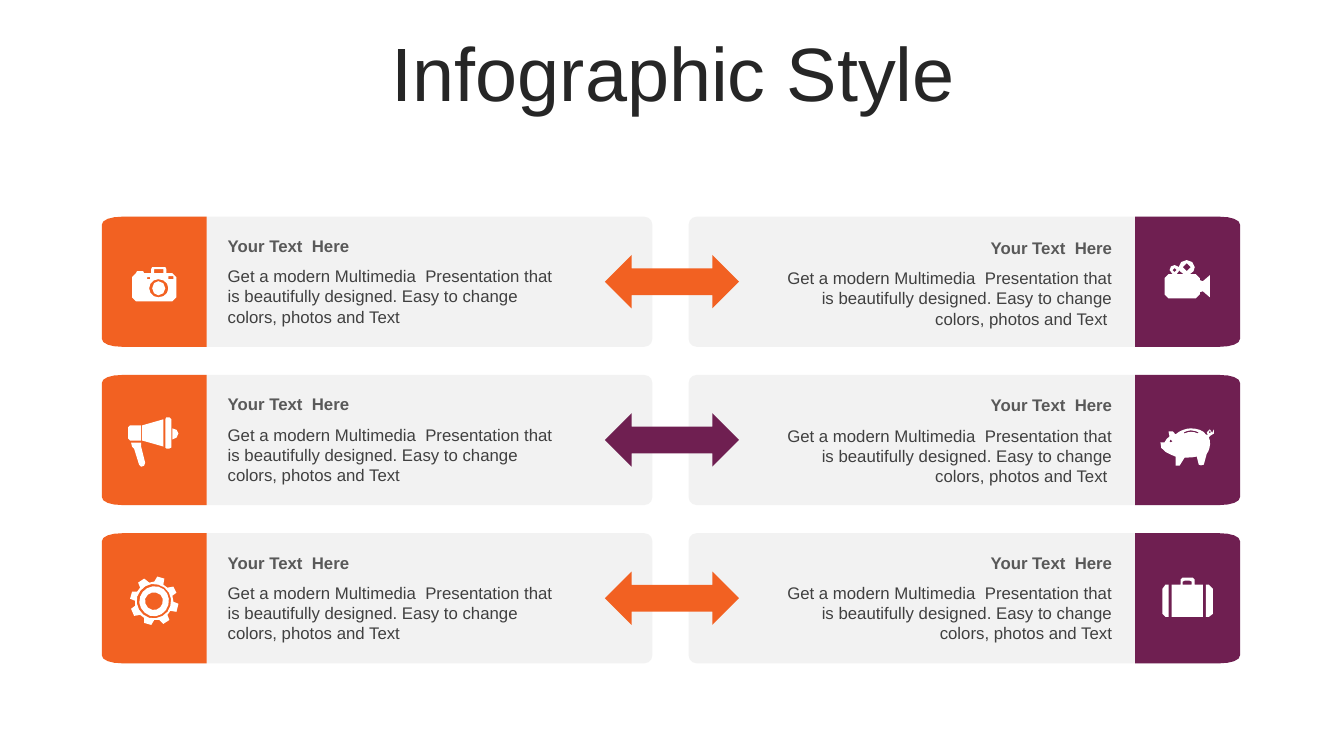
from math import ceil

from pptx import Presentation
from pptx.dml.color import RGBColor
from pptx.enum.shapes import MSO_SHAPE
from pptx.enum.text import MSO_ANCHOR, MSO_AUTO_SIZE, PP_ALIGN
from pptx.util import Pt

PX = 9144
LEFT, CENTER, RIGHT = PP_ALIGN.LEFT, PP_ALIGN.CENTER, PP_ALIGN.RIGHT
MIDDLE = MSO_ANCHOR.MIDDLE
NO_FIT, GROW = MSO_AUTO_SIZE.NONE, MSO_AUTO_SIZE.SHAPE_TO_FIT_TEXT
ROUNDED, DOUBLE_ARROW = MSO_SHAPE.ROUNDED_RECTANGLE, MSO_SHAPE.LEFT_RIGHT_ARROW

ORANGE, PURPLE, GREY, WHITE = "F26122", "6F1F51", "F2F2F2", "FFFFFF"
HEADING = "Your Text  Here"
BODY = ("Get a modern Multimedia  Presentation that is beautifully designed. "
        "Easy to change colors, photos and Text")

ROW_TOP, ROW_PITCH, ROW_HEIGHT = 215, 157, 129
TILE_WIDTH, CARD_WIDTH = 104, 535
TILE = ("M 0 121 L 0 8 C 0 3 9 0 20 0 L 104 0 L 104 129 L 20 129 "
        "C 9 129 0 126 0 121 Z")

CAMERA = (
    "M 57 79 C 61 79 64 82 64 86 C 64 90 61 93 57 93 C 54 93 51 90 51 86 "
    "C 51 82 54 79 57 79 Z M 57 77 C 52 77 48 81 48 86 C 48 91 52 95 57 95 "
    "C 63 95 67 91 67 86 C 67 81 63 77 57 77 Z M 46 75 L 46 77 L 49 77 L 49 75 Z "
    "M 67 74 L 67 77 L 72 77 L 72 74 Z M 53 67 L 53 71 L 62 71 L 62 67 Z "
    "M 51 65 L 64 65 L 65 67 L 65 71 L 71 71 C 73 71 75 73 75 75 "
    "L 75 95 C 75 97 73 99 71 99 L 35 99 C 33 99 31 97 31 95 L 31 75 "
    "C 31 73 33 71 35 71 L 36 69 L 42 69 L 43 71 L 50 71 L 50 67 L 51 65 Z")
MEGAPHONE = (
    "M 40 39 L 40 43 L 44 59 L 43 62 L 40 63 L 38 61 L 33 45 L 31 43 L 30 39 Z "
    "M 71 25 C 74 25 77 27 77 30 C 77 33 74 36 71 36 Z "
    "M 29 22 L 40 22 L 40 37 L 29 37 L 27 35 L 27 24 L 29 22 Z "
    "M 62 16 L 62 43 L 41 37 L 41 22 Z "
    "M 65 14 L 68 14 L 70 16 L 70 44 L 68 45 L 65 45 L 64 44 L 64 16 Z")
GEAR = (
    "M 55 88 C 50 87 46 89 44 94 C 43 99 46 104 51 105 C 55 106 60 103 61 99 "
    "C 63 94 60 89 55 88 Z M 57 82 C 65 84 69 92 67 100 C 65 108 57 113 49 111 "
    "C 41 108 36 100 39 92 C 41 85 49 80 57 82 Z M 57 80 C 48 77 39 83 36 92 "
    "C 34 101 39 110 48 113 C 57 115 67 110 69 101 C 72 92 66 82 57 80 Z "
    "M 63 74 L 62 80 L 66 83 L 72 82 L 75 88 L 71 91 L 72 97 L 77 99 L 75 107 "
    "L 69 106 L 66 110 L 68 115 L 62 119 L 58 115 L 53 115 L 50 120 L 43 118 "
    "L 43 113 L 39 110 L 33 111 L 30 104 L 34 101 L 34 96 L 29 94 L 31 87 L 36 87 "
    "L 39 83 L 37 78 L 43 74 L 48 78 L 53 77 L 56 72 Z")
VIDEO = (
    "M 65 66 L 63 68 L 65 70 L 67 68 Z M 77 61 C 75 61 73 63 73 65 "
    "C 73 67 75 69 77 69 C 79 69 81 67 81 65 C 81 63 79 61 77 61 Z "
    "M 77 58 C 81 58 85 61 85 65 C 85 68 83 71 80 72 L 86 72 C 88 72 90 74 90 76 "
    "L 90 78 L 93 79 L 100 73 L 100 95 L 93 89 L 90 90 L 90 92 C 90 94 88 96 86 96 "
    "L 59 96 C 57 96 55 94 55 92 L 55 76 C 55 74 57 72 59 72 L 63 72 L 60 68 "
    "C 60 65 62 63 65 63 C 67 63 70 65 70 68 L 67 72 L 74 72 "
    "C 71 71 69 68 69 65 C 69 61 73 58 77 58 Z")
PIGGY_BANK = (
    "M 61 36 L 60 38 L 61 39 L 63 38 Z M 100 27 L 99 29 L 100 30 L 101 29 Z "
    "M 81 27 C 79 27 76 28 74 29 L 75 30 C 79 28 84 28 88 30 L 89 29 "
    "C 87 28 84 27 81 27 Z M 81 25 C 87 25 94 27 96 31 L 98 32 L 97 29 "
    "C 97 27 98 26 100 26 C 101 26 102 27 102 29 L 102 30 L 104 26 "
    "C 106 30 103 31 101 32 L 99 34 L 100 37 C 101 42 99 48 97 50 L 94 61 "
    "C 93 62 89 62 89 61 L 87 53 C 83 54 78 54 75 54 L 70 62 L 66 62 L 66 53 "
    "C 61 51 49 47 51 39 L 55 39 C 57 36 57 35 60 33 L 59 28 C 63 26 64 29 66 31 "
    "C 70 27 77 25 81 25 Z")
SUITCASE = (
    "M 96 80 L 99 80 C 101 80 103 82 103 84 L 103 109 C 103 111 101 112 99 112 L 96 112 Z "
    "M 56 80 L 59 80 L 59 112 L 56 112 C 54 112 53 111 53 109 L 53 84 C 53 82 54 80 56 80 Z "
    "M 75 76 L 73 77 L 73 80 L 82 80 L 82 77 L 80 76 Z "
    "M 73 73 L 83 73 L 85 75 L 85 80 L 93 80 L 93 112 L 62 112 L 62 80 L 71 80 "
    "L 71 75 L 73 73 Z")

ROWS = [
    dict(arrow=ORANGE, left_icon=CAMERA, right_icon=VIDEO, icon_dy=-15,
         right_text_dy=16, right_body=BODY + " "),
    dict(arrow=PURPLE, left_icon=MEGAPHONE, right_icon=PIGGY_BANK, icon_dy=28,
         right_text_dy=15, right_body=BODY + " "),
    dict(arrow=ORANGE, left_icon=GEAR, right_icon=SUITCASE, icon_dy=-29,
         right_text_dy=14, right_body=BODY),
]


def color(value):
    return RGBColor.from_string(value)


def emu(*lengths):
    return [length * PX for length in lengths]


def paint(shape, fill):
    shape.shadow.inherit = False
    shape.fill.solid()
    shape.fill.fore_color.rgb = color(fill)
    shape.line.fill.background()


def add_block(page, kind, box, fill):
    shape = page.shapes.add_shape(kind, *emu(*box))
    paint(shape, fill)
    return shape


def write(shape, text, size=12, ink="404040", bold=False, align=LEFT, fit=GROW):
    frame = shape.text_frame
    frame.word_wrap = True
    frame.auto_size = fit
    para = frame.paragraphs[0]
    para.alignment = align
    span = para.add_run()
    span.text = text
    span.font.name = "Arial"
    span.font.size = Pt(size)
    span.font.bold = bold
    span.font.color.rgb = color(ink)
    return para


def curve_points(start, first, second, end):
    reach = max(abs(a - d) for a, d in zip(start, end))
    steps = min(4, ceil(reach / 4))
    for step in range(1, steps + 1):
        t = step / steps
        u = 1 - t
        yield tuple(u**3 * a + 3 * u * u * t * b + 3 * u * t * t * c + t**3 * d
                    for a, b, c, d in zip(start, first, second, end))


def contour_points(contour):
    tokens = contour.split()
    points = []
    while tokens:
        command = tokens.pop(0)
        count = 6 if command == "C" else 2
        values = [int(token) for token in tokens[:count]]
        del tokens[:count]
        pairs = list(zip(values[::2], values[1::2]))
        points += curve_points(points[-1], *pairs) if command == "C" else pairs
    return points


def add_outline(page, outline, left, top, fill, mirror=False):
    sign = -1 if mirror else 1
    builder = None
    for contour in outline.split("Z")[:-1]:
        points = [((left + sign * x) * PX, (top + y) * PX)
                  for x, y in contour_points(contour)]
        if builder is None:
            builder = page.shapes.build_freeform(*points[0], scale=1.0)
        else:
            builder.move_to(*points[0])
        builder.add_line_segments(points[1:], close=True)
    paint(builder.convert_to_shape(), fill)


def add_title(page, box):
    title = page.shapes.title
    title.left, title.top, title.width, title.height = emu(*box)
    title.text_frame.vertical_anchor = MIDDLE
    para = write(title, "Infographic Style", size=54, ink="262626",
                 align=CENTER, fit=NO_FIT)
    para.line_spacing = 0.9


def add_texts(page, left, top, width, body, align):
    heading_box = page.shapes.add_textbox(*emu(left, top, width, 30))
    write(heading_box, HEADING, ink="595959", bold=True, align=align)
    body_box = page.shapes.add_textbox(*emu(left, top + 30, width, 71))
    write(body_box, body, align=align)


def add_card(page, left, top):
    card = add_block(page, ROUNDED, (left, top, CARD_WIDTH, ROW_HEIGHT), GREY)
    card.adjustments[0] = 0.061


def add_left_panel(page, left, top, row):
    add_card(page, left + 11, top)
    add_outline(page, TILE, left, top, ORANGE)
    add_texts(page, left + 115, top + 14, 355, BODY, LEFT)
    add_outline(page, row["left_icon"], left - 1, top + row["icon_dy"], WHITE)


def add_right_panel(page, left, top, row):
    tile_left = left + 443
    add_card(page, left, top)
    add_outline(page, TILE, tile_left + TILE_WIDTH, top, PURPLE, mirror=True)
    add_texts(page, left + 79, top + row["right_text_dy"], 351, row["right_body"], RIGHT)
    add_outline(page, row["right_icon"], tile_left - 26, top + row["icon_dy"], WHITE)


def main():
    deck = Presentation()
    deck.slide_width, deck.slide_height = emu(1333, 750)
    page = deck.slides.add_slide(deck.slide_layouts[5])
    add_title(page, (35, 37, 1266, 79))
    for index, row in enumerate(ROWS):
        top = ROW_TOP + index * ROW_PITCH
        add_left_panel(page, 101, top, row)
        add_right_panel(page, 683, top, row)
        add_block(page, DOUBLE_ARROW, (600, top + 38, 133, 53), row["arrow"])
    deck.save("out.pptx")


if __name__ == "__main__":
    main()
